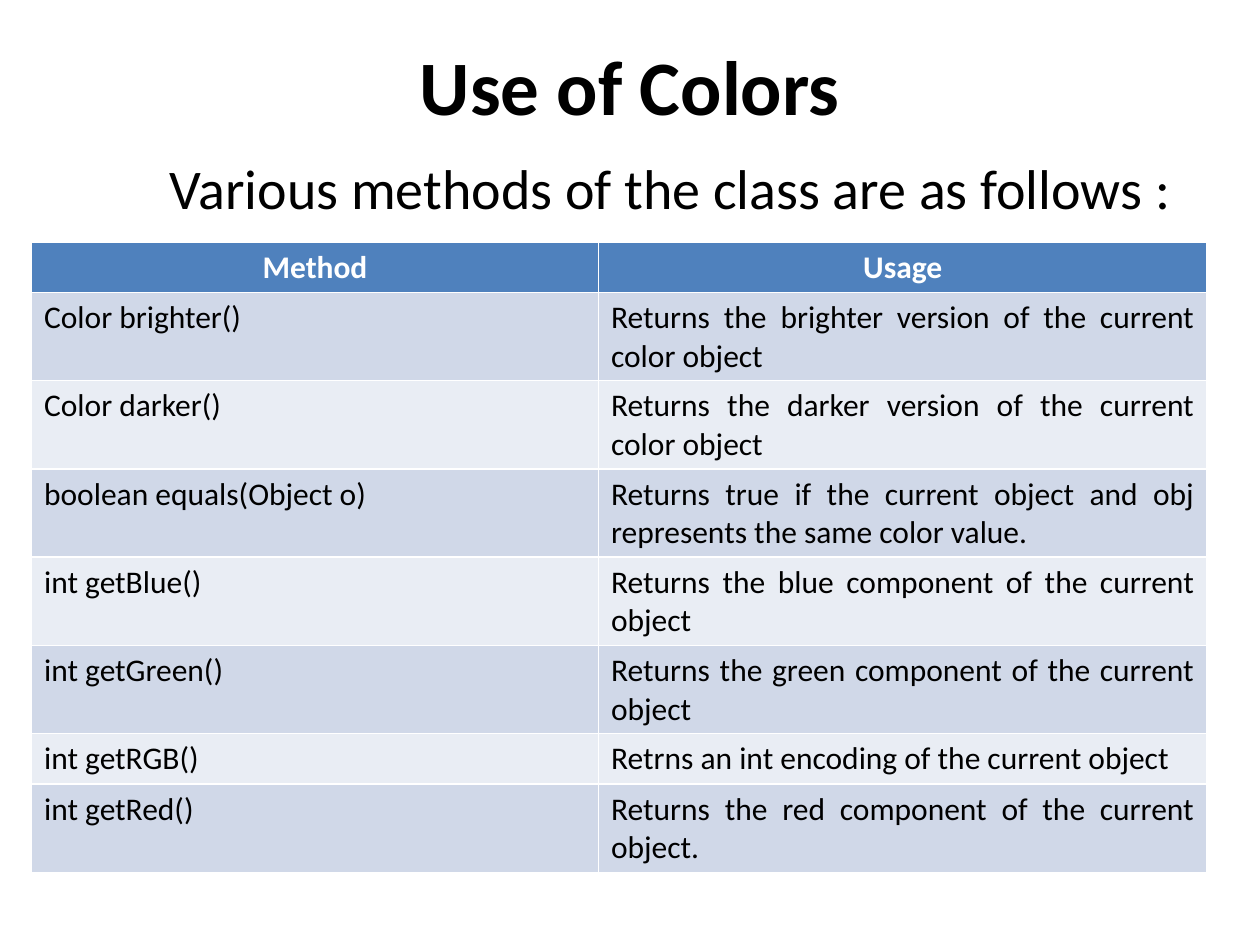
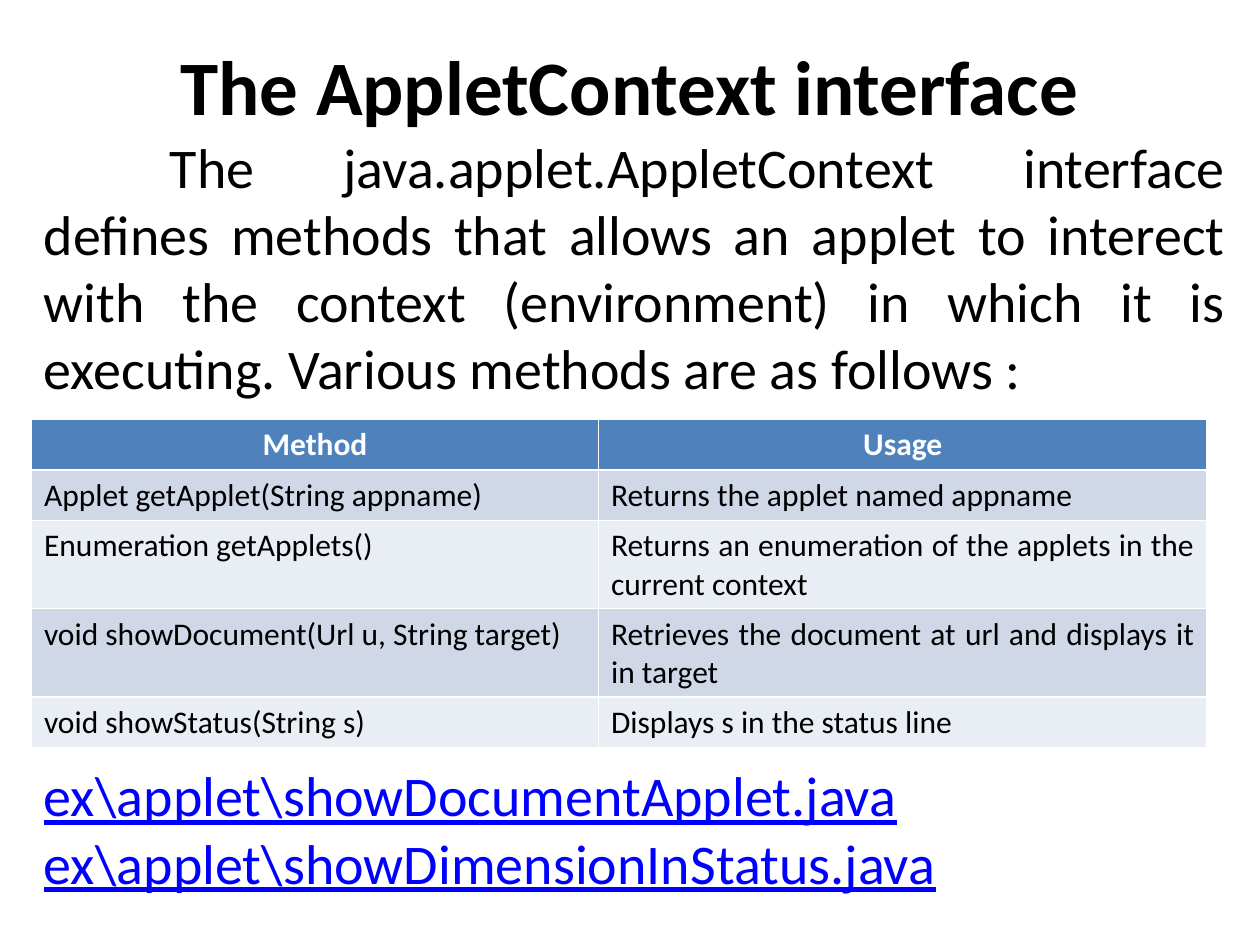
"""Build two slides that list the methods of Java applet classes."""
import pptx
import pptx.dml.color
import pptx.enum.text
import pptx.util

Inches = pptx.util.Inches
ALIGN = pptx.enum.text.PP_ALIGN
ANCHOR = pptx.enum.text.MSO_ANCHOR
FONT = "Calibri"
BLACK, WHITE, LINK = "000000", "FFFFFF", "0000FF"
HEAD, BANDS = "4F81BD", ("E9EDF4", "D0D8E8")
LEFT, WIDE = 0.25, 9.58


def tint(code):
    return pptx.dml.color.RGBColor.from_string(code)


def style(frame, size, color, align, bold=False, line=False):
    for par in frame.paragraphs:
        par.alignment = align
        for run in par.runs:
            font = run.font
            font.name = FONT
            font.size = pptx.util.Pt(size)
            font.bold = bold
            font.underline = line
            font.color.rgb = tint(color)


pages = [
    {
        "title": "Use of Colors",
        "intro": "Various methods of the class are as follows :",
        "box": (1.17, 0.64),
        "grid": (1.92, 5),
        "rows": [
            ("Color brighter()", "Returns the brighter version of the current color object"),
            ("Color darker()", "Returns the darker version of the current color object"),
            ("boolean equals(Object o)",
             "Returns true if the current object and obj represents the same color value."),
            ("int getBlue()", "Returns the blue component of the current object"),
            ("int getGreen()", "Returns the green component of the current object"),
            ("int getRGB()", "Retrns an int encoding of the current object"),
            ("int getRed()", "Returns the red component of the current object."),
        ],
        "files": [],
    },
    {
        "title": "The AppletContext interface",
        "intro": "The java.applet.AppletContext interface defines methods that allows an applet "
                 "to interect with the context (environment) in which it is executing. "
                 "Various methods are as follows :",
        "box": (1, 2.26),
        "grid": (3.33, 2.6),
        "rows": [
            ("Applet getApplet(String appname)", "Returns the applet named appname"),
            ("Enumeration getApplets()",
             "Returns an enumeration of the applets in the current context"),
            ("void showDocument(Url u, String target)",
             "Retrieves the document at url and displays it in target"),
            ("void showStatus(String s)", "Displays s in the status line"),
        ],
        "files": ["ex\\applet\\showDocumentApplet.java", "ex\\applet\\showDimensionInStatus.java"],
    },
]

deck = pptx.Presentation()
deck.slide_width = Inches(10)
deck.slide_height = Inches(7.5)

for page in pages:
    slide = deck.slides.add_slide(deck.slide_layouts[6])

    title = slide.shapes.add_textbox(0, Inches(0.17), Inches(10), Inches(1)).text_frame
    title.word_wrap = True
    title.vertical_anchor = ANCHOR.MIDDLE
    title.text = page["title"]
    style(title, 44, BLACK, ALIGN.CENTER, bold=True)

    top, high = page["box"]
    intro = slide.shapes.add_textbox(
        Inches(LEFT), Inches(top), Inches(WIDE), Inches(high)).text_frame
    intro.word_wrap = True
    intro.text = page["intro"]
    intro.paragraphs[0]._p.get_or_add_pPr().set("indent", str(Inches(1)))
    style(intro, 32, BLACK, ALIGN.JUSTIFY)

    top, high = page["grid"]
    rows = [("Method", "Usage")] + page["rows"]
    frame = slide.shapes.add_table(
        len(rows), 2, Inches(LEFT), Inches(top), Inches(9.33), Inches(high))
    table = frame.table
    for col, width in zip(table.columns, (4.5, 4.83)):
        col.width = Inches(width)
    for r, row in enumerate(rows):
        table.rows[r].height = Inches(0.35)
        for c, text in enumerate(row):
            cell = table.cell(r, c)
            cell.text = text
            cell.fill.solid()
            if r == 0:
                cell.fill.fore_color.rgb = tint(HEAD)
                style(cell.text_frame, 18, WHITE, ALIGN.CENTER, bold=True)
            else:
                cell.fill.fore_color.rgb = tint(BANDS[r % 2])
                style(cell.text_frame, 18, BLACK, (ALIGN.LEFT, ALIGN.JUSTIFY)[c])
    frame.height = Inches(high)

    if page["files"]:
        files = slide.shapes.add_textbox(
            Inches(LEFT), Inches(5.99), Inches(WIDE), Inches(1.18)).text_frame
        files.word_wrap = True
        files.text = "\n".join(page["files"])
        style(files, 32, LINK, ALIGN.JUSTIFY, line=True)

deck.save("out.pptx")
